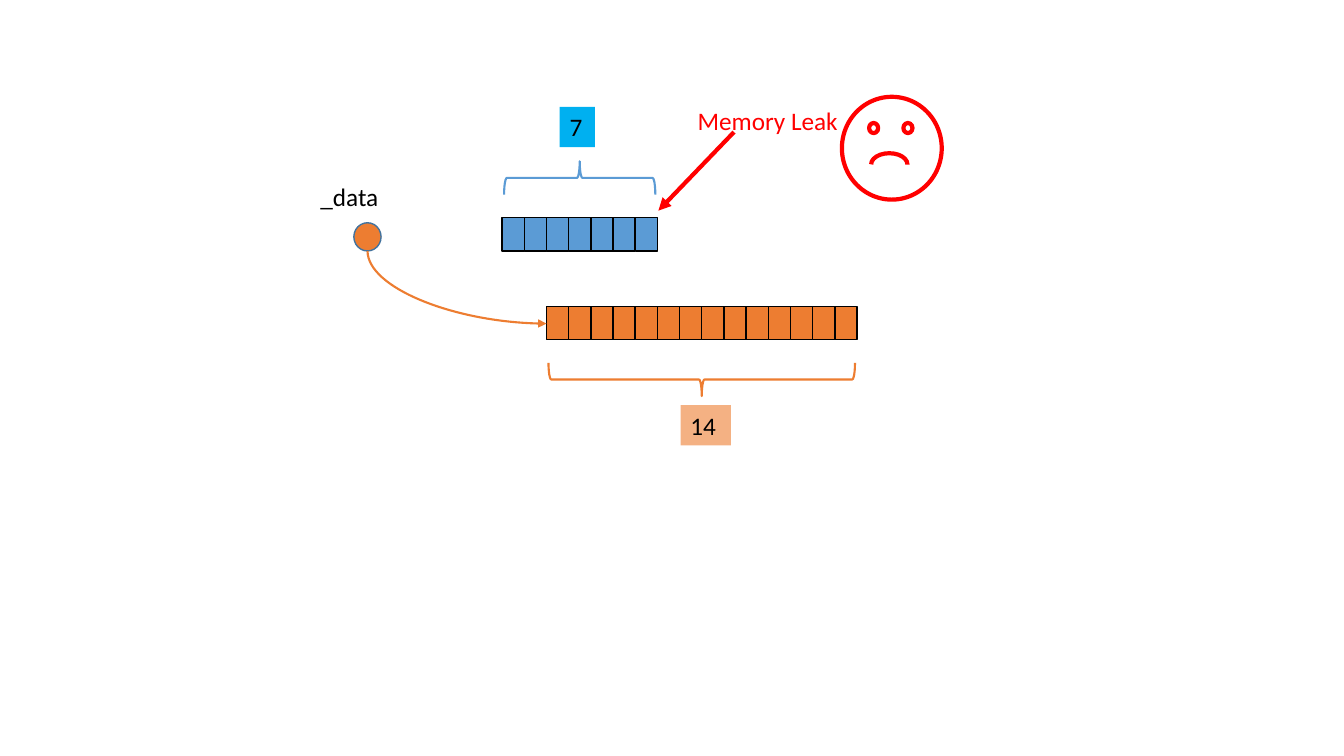
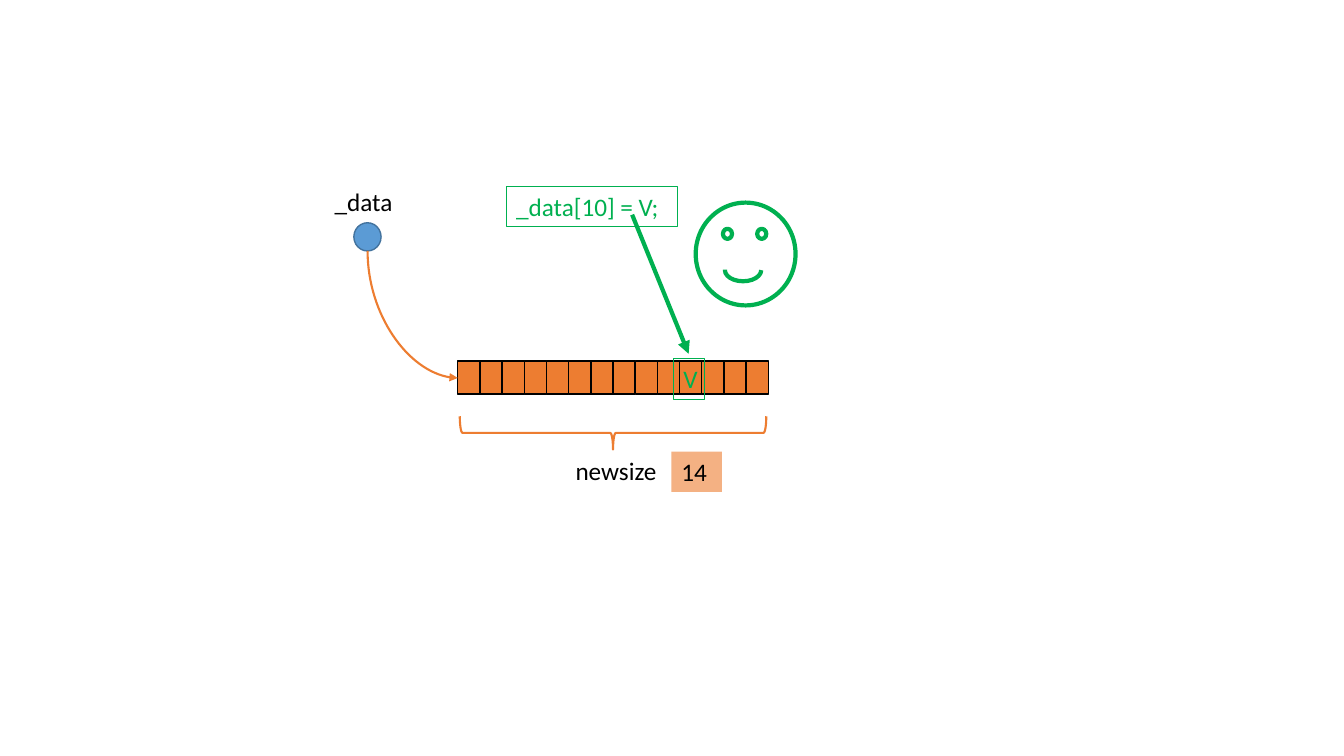
from lxml import etree
from pptx import Presentation
from pptx.dml.color import RGBColor
from pptx.enum.shapes import MSO_CONNECTOR, MSO_SHAPE
from pptx.oxml.ns import qn
from pptx.util import Inches, Pt

ELLIPSE, RECTANGLE = MSO_SHAPE.OVAL, MSO_SHAPE.RECTANGLE
BRACE, ARC = MSO_SHAPE.RIGHT_BRACE, MSO_SHAPE.ARC
STRAIGHT, CURVE = MSO_CONNECTOR.STRAIGHT, MSO_CONNECTOR.CURVE

WIDTH, HEIGHT = 13.33, 7.5
BLANK_LAYOUT = 6
FONT, TEXT_SIZE = "Calibri", 18
BLACK, WHITE, RED, GREEN = "000000", "FFFFFF", "FF0000", "00B050"
BLUE, ORANGE, OUTLINE = "5B9BD5", "ED7D31", "43739E"
SKY, PEACH = "00B0F0", "F4B183"

CELL_WIDTH, CELL_HEIGHT = 0.22, 0.33
BRACE_DEPTH, BRACE_INSET = 0.33, 0.02
LABEL_HEIGHT = 0.4
POINTER = (3.51, 2.21, 0.27, 0.28)
FACE_SIZE = (0.99, 1.02)
EYES = ((0.27, 0.26), (0.61, 0.26))
EYE_SIZE = (0.09, 0.1)
MOUTH = (0.29, 0.56, 0.36, 0.22)
MOUTH_ANGLES = (107.21, 0)

SLIDES = [
    {
        "pointer": ORANGE,
        "arrays": [
            {"left": 4.98, "top": 2.16, "count": 7, "color": BLUE,
             "brace_top": 1.6, "turn": 270},
            {"left": 5.42, "top": 3.04, "count": 14, "color": ORANGE,
             "brace_top": 3.6, "turn": 90},
        ],
        "target": (5.42, 3.21),
        "labels": [
            ("_data", 3.08, 1.75, 0.86, {}),
            ("7", 5.55, 1.06, 0.35, {"fill": SKY}),
            ("14", 6.75, 4.02, 0.5, {"fill": PEACH}),
            ("Memory Leak", 6.82, 1, 1.61, {"color": RED, "wrap": False}),
        ],
        "mood": {"color": RED, "arrow": ((7.28, 1.31), (6.53, 2.09)),
                 "face": (8.35, 0.96), "turn": 180},
    },
    {
        "pointer": BLUE,
        "arrays": [
            {"left": 4.54, "top": 3.58, "count": 14, "color": ORANGE,
             "brace_top": 4.13, "turn": 90},
        ],
        "target": (4.54, 3.75),
        "labels": [
            ("newsize", 5.61, 4.47, 1.32, {}),
            ("14", 6.66, 4.48, 0.5, {"fill": PEACH}),
            ("_data", 3.22, 1.8, 0.85, {}),
            ("V", 6.68, 3.56, 0.31, {"color": GREEN, "line": GREEN}),
            ("_data[10] = V;", 5.02, 1.85, 1.7, {"color": GREEN, "line": GREEN}),
        ],
        "mood": {"color": GREEN, "arrow": ((6.27, 2.13), (6.83, 3.51)),
                 "face": (6.9, 2.01), "turn": 0},
    },
]


def rgb(color):
    return RGBColor.from_string(color)


def paint(shape, fill=None, line=None, weight=1):
    if fill:
        shape.fill.solid()
        shape.fill.fore_color.rgb = rgb(fill)
    else:
        shape.fill.background()
    if line:
        shape.line.color.rgb = rgb(line)
        shape.line.width = Pt(weight)
    else:
        shape.line.fill.background()


def add_figure(page, kind, left, top, width, height, turn=0, **style):
    shape = page.shapes.add_shape(
        kind, Inches(left), Inches(top), Inches(width), Inches(height))
    shape.shadow.inherit = False
    shape.rotation = turn
    paint(shape, **style)
    return shape


def add_label(page, text, left, top, width, color=BLACK, fill=None, line=None,
              wrap=True):
    box = page.shapes.add_textbox(
        Inches(left), Inches(top), Inches(width), Inches(LABEL_HEIGHT))
    paint(box, fill=fill, line=line, weight=0.75)
    box.text_frame.word_wrap = wrap
    span = box.text_frame.paragraphs[0].add_run()
    span.text = text
    span.font.name = FONT
    span.font.size = Pt(TEXT_SIZE)
    span.font.color.rgb = rgb(color)


def add_arrow(page, kind, start, end, color, weight):
    arrow = page.shapes.add_connector(
        kind, *(Inches(value) for value in (*start, *end)))
    arrow.line.color.rgb = rgb(color)
    arrow.line.width = Pt(weight)
    properties = arrow.element.find(qn("p:spPr"))
    head = etree.SubElement(properties.find(qn("a:ln")), qn("a:tailEnd"))
    head.set("type", "triangle")
    etree.SubElement(properties, qn("a:effectLst"))
    return properties


def add_quarter_curve(page, start, end, color):
    middle_x, middle_y = ((a + b) / 2 for a, b in zip(start, end))
    half_x, half_y = ((b - a) / 2 for a, b in zip(start, end))
    properties = add_arrow(
        page, CURVE, (middle_x + half_y, middle_y - half_x),
        (middle_x - half_y, middle_y + half_x), color, 1.5)
    properties.find(qn("a:xfrm")).set("rot", str(270 * 60000))
    properties.find(qn("a:prstGeom")).set("prst", "curvedConnector2")


def add_array(page, left, top, count, color, brace_top, turn):
    for index in range(count):
        add_figure(page, RECTANGLE, left + index * CELL_WIDTH, top,
                   CELL_WIDTH, CELL_HEIGHT, fill=color, line=BLACK)
    length = count * CELL_WIDTH - 2 * BRACE_INSET
    center_x = left + count * CELL_WIDTH / 2
    center_y = brace_top + BRACE_DEPTH / 2
    add_figure(page, BRACE, center_x - BRACE_DEPTH / 2, center_y - length / 2,
               BRACE_DEPTH, length, turn=turn, line=color, weight=1.5)


def add_face(page, left, top, color, turn):
    stroke = {"line": color, "weight": 3, "turn": turn}
    add_figure(page, ELLIPSE, left, top, *FACE_SIZE, fill=WHITE, **stroke)
    for x, y in EYES:
        add_figure(page, ELLIPSE, left + x, top + y, *EYE_SIZE,
                   fill=WHITE, **stroke)
    x, y, width, height = MOUTH
    mouth = add_figure(page, ARC, left + x, top + y, width, height, **stroke)
    for index, angle in enumerate(MOUTH_ANGLES):
        mouth.adjustments[index] = angle
    mouth.element.find(qn("p:spPr")).find(qn("a:xfrm")).set("flipV", "1")


def build_slide(deck, content):
    page = deck.slides.add_slide(deck.slide_layouts[BLANK_LAYOUT])
    add_figure(page, ELLIPSE, *POINTER, fill=content["pointer"], line=OUTLINE)
    for array in content["arrays"]:
        add_array(page, **array)
    left, top, width, height = POINTER
    add_quarter_curve(page, (left + width / 2, top + height),
                      content["target"], ORANGE)
    for text, left, top, width, style in content["labels"]:
        add_label(page, text, left, top, width, **style)
    mood = content["mood"]
    add_arrow(page, STRAIGHT, *mood["arrow"], mood["color"], 3)
    add_face(page, *mood["face"], mood["color"], mood["turn"])


deck = Presentation()
deck.slide_width, deck.slide_height = Inches(WIDTH), Inches(HEIGHT)
for content in SLIDES:
    build_slide(deck, content)
deck.save("out.pptx")
